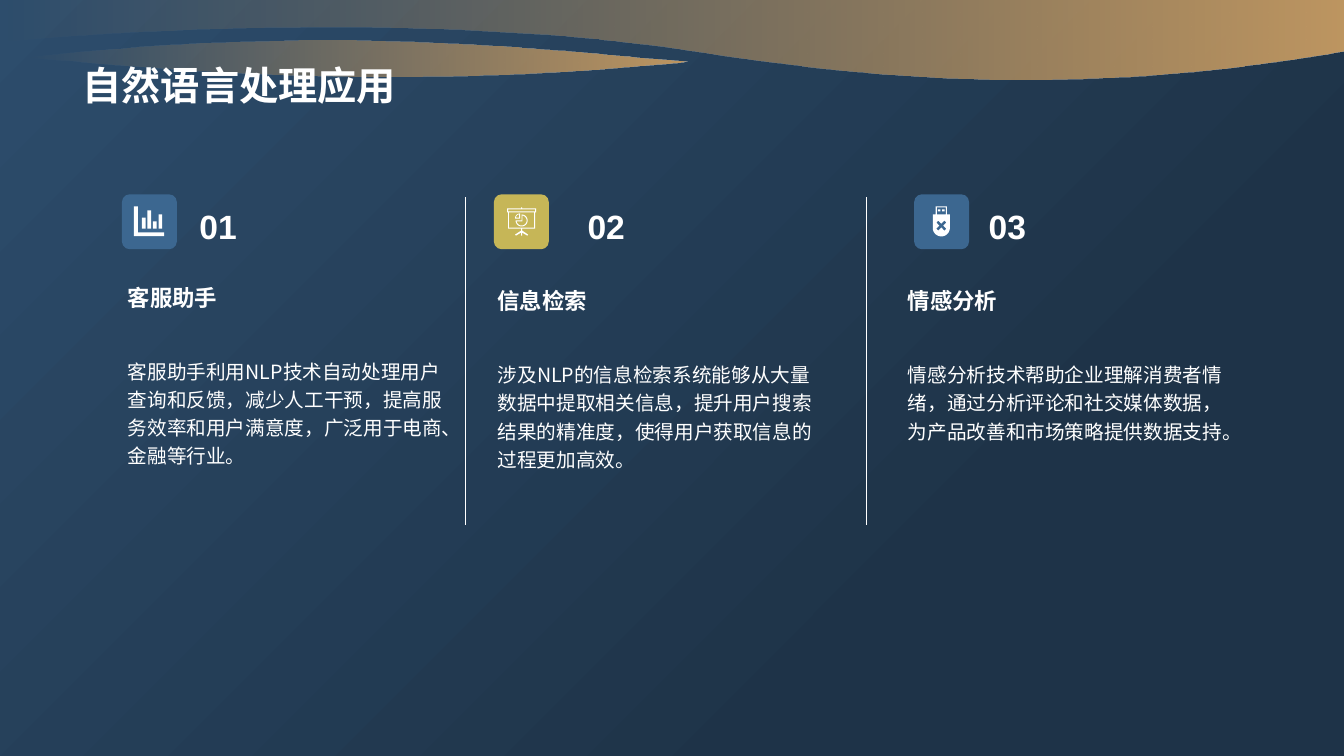
import math

import lxml.etree
import pptx
import pptx.dml.color
import pptx.enum.shapes
import pptx.enum.text
import pptx.oxml.ns
import pptx.util

Pt = pptx.util.Pt
WHITE, GOLD, BLUE, MUSTARD = "FFFFFF", "BF9762", "3C6790", "C6B657"
TILE_SIZE = 39.2


def color(hex_value):
    return pptx.dml.color.RGBColor.from_string(hex_value)


def box(left, top, right, bottom):
    return [(left, top), (right, top), (right, bottom), (left, bottom)]


def arc(x, y, radius, start, stop, steps=24):
    angles = [math.radians(start + (stop - start) * i / steps) for i in range(steps + 1)]
    return [(x + radius * math.cos(a), y + radius * math.sin(a)) for a in angles]


def curve(start, *segments, steps=40):
    points = [start]
    for first, second, end in segments:
        origin = points[-1]
        for i in range(1, steps + 1):
            t = i / steps
            weights = ((1 - t) ** 3, 3 * t * (1 - t) ** 2, 3 * t * t * (1 - t), t ** 3)
            points.append(tuple(sum(w * p[axis] for w, p in zip(weights, (origin, first, second, end)))
                                for axis in (0, 1)))
    return points


def bar_chart_icon():
    axes = [(8.6, 8.6), (11.5, 8.6), (11.5, 27.2), (30.2, 27.2), (30.2, 29.8), (8.6, 29.8)]
    bars = [box(14.3 + 3.95 * i, top, 16.9 + 3.95 * i, 24.5)
            for i, top in enumerate((16.6, 11.5, 19.4, 14.4))]
    return [axes] + bars


def screen_icon():
    leg = [(0.4, 25.9), (4.7, 28.8), (4, 29.5), (0.4, 27.4)]
    return [
        box(9.4, 10.1, 30.2, 13), box(10.1, 10.8, 29.5, 12.2),
        box(10.1, 13, 29.5, 24.5), box(10.8, 13, 28.8, 23.8),
        box(19.4, 9.4, 20.2, 10.1), box(19.4, 24.5, 20.2, 29.5),
        [(19.8 + x, y) for x, y in leg], [(19.8 - x, y) for x, y in leg],
        arc(19.8, 18.7, 4.3, -90, 180) + [(19.8, 18.7)],
        arc(19.8, 18.7, 3.6, -80, 170) + [(20.4, 19.3)],
        arc(18.7, 17.3, 3.6, 180, 270) + [(18.7, 17.3)],
        arc(18, 16.6, 2.2, 180, 270) + [(18, 16.6)],
    ]


def usb_icon():
    arm = [(1.4, 0), (3.6, 2.2), (2.2, 3.6)]
    cross = [(19.4 + x * c - y * s, 22.4 + x * s + y * c)
             for c, s in ((1, 0), (0, 1), (-1, 0), (0, -1)) for x, y in arm]
    body = [(13.3, 14.4), (15.4, 14.4), (15.4, 8.6), (23.4, 8.6), (23.4, 14.4), (25.5, 14.4)]
    return [body + arc(19.4, 24, 6.1, 0, 180), box(16.2, 9.4, 22.6, 14.4),
            box(17, 10.8, 18.8, 12.2), box(20, 10.8, 21.8, 12.2), cross]


class Deck:
    formats = {
        "title": {"name": "Noto Sans CJK SC", "size": Pt(28), "bold": True},
        "number": {"name": "Arial", "size": Pt(24), "bold": True},
        "heading": {"name": "Noto Sans CJK SC", "size": Pt(16), "bold": True},
        "body": {"name": "Noto Sans CJK SC", "size": Pt(14), "bold": False},
    }
    spacing = {"number": 1.1, "body": 1.2}

    def __init__(self, width, height):
        self.presentation = pptx.Presentation()
        self.presentation.slide_width = Pt(width)
        self.presentation.slide_height = Pt(height)
        self.slide = self.presentation.slides.add_slide(self.presentation.slide_layouts[6])
        self.shapes = self.slide.shapes

    def gradient(self, fill, angle, stops):
        fill.gradient()
        fill.gradient_angle = angle
        for stop, (position, hex_value) in zip(fill.gradient_stops, stops):
            stop.position = position
            stop.color.rgb = color(hex_value)

    def paint(self, shape, hex_value):
        shape.shadow.inherit = False
        shape.line.fill.background()
        shape.fill.solid()
        shape.fill.fore_color.rgb = color(hex_value)

    def outline(self, contours, hex_value, shapes=None, left=0, top=0):
        placed = [[(Pt(left + x), Pt(top + y)) for x, y in contour] for contour in contours]
        builder = (shapes or self.shapes).build_freeform(*placed[0][0], scale=1.0)
        for i, contour in enumerate(placed):
            if i:
                builder.move_to(*contour[0])
            builder.add_line_segments(contour[1:], close=True)
        shape = builder.convert_to_shape()
        self.paint(shape, hex_value)
        return shape

    def wave(self, points):
        shape = self.outline([points], GOLD)
        self.gradient(shape.fill, 0, [(0, GOLD), (1, GOLD)])
        faded = shape.element.xpath(".//a:srgbClr")[0]
        lxml.etree.SubElement(faded, pptx.oxml.ns.qn("a:alpha"), val="0")

    def badge(self, left, top, hex_value, icon):
        group = self.shapes.add_group_shape()
        tile = group.shapes.add_shape(pptx.enum.shapes.MSO_SHAPE.ROUNDED_RECTANGLE,
                                      Pt(left), Pt(top), Pt(TILE_SIZE), Pt(TILE_SIZE))
        tile.adjustments[0] = 0.14
        self.paint(tile, hex_value)
        self.outline(icon, WHITE, group.shapes, left, top)

    def divider(self, x, top, bottom):
        line = self.shapes.add_connector(pptx.enum.shapes.MSO_CONNECTOR.STRAIGHT,
                                         Pt(x), Pt(top), Pt(x), Pt(bottom))
        line.line.color.rgb = color(WHITE)
        line.line.width = Pt(0.75)
        lxml.etree.SubElement(line.element.spPr, pptx.oxml.ns.qn("a:effectLst"))

    def text(self, style, words, left, top, width, height, wrap=True, anchor="TOP"):
        frame = self.shapes.add_textbox(Pt(left), Pt(top), Pt(width), Pt(height)).text_frame
        frame.word_wrap = wrap
        frame.vertical_anchor = pptx.enum.text.MSO_ANCHOR[anchor]
        paragraph = frame.paragraphs[0]
        paragraph.line_spacing = self.spacing.get(style)
        run = paragraph.add_run()
        run.text = words
        for attribute, value in self.formats[style].items():
            setattr(run.font, attribute, value)
        run.font.color.rgb = color(WHITE)
        lxml.etree.SubElement(run._r.get_or_add_rPr(), pptx.oxml.ns.qn("a:ea"),
                              typeface=self.formats[style]["name"])


def main():
    deck = Deck(960, 540)
    deck.gradient(deck.slide.background.fill, 315, [(0, "2D4D6C"), (0.72, "1E3348")])
    deck.wave([(0, 0)] + curve((0, 30.2), ((159, 15.8), (350, 14.4), (496, 36.7)),
                               ((664.6, 62.6), (792.7, 64.8), (960, 36.7))) + [(960, 0)])
    deck.wave(curve((449.3, 40.3), ((463, 41.8), (477.4, 42.5), (491.8, 43.9)),
                    ((332, 59), (208, 57.6), (46, 43.2)), ((37.4, 42.5), (28, 41.8), (18.7, 41)),
                    ((174.2, 24.5), (293, 25.9), (449.3, 40.3))))
    deck.text("title", "自然语言处理应用", 52, 10, 855, 70.6, anchor="BOTTOM")

    applications = [
        ("01", "客服助手", "客服助手利用NLP技术自动处理用户查询和反馈，减少人工干预，提高服务效率和用户满意度，广泛用于电商、金融等行业。",
         87.1, 135.4, 84.2, 199.2, BLUE, bar_chart_icon()),
        ("02", "信息检索", "涉及NLP的信息检索系统能够从大量数据中提取相关信息，提升用户搜索结果的精准度，使得用户获取信息的过程更加高效。",
         352.8, 412.6, 348.4, 201.8, MUSTARD, screen_icon()),
        ("03", "情感分析", "情感分析技术帮助企业理解消费者情绪，通过分析评论和社交媒体数据，为产品改善和市场策略提供数据支持。",
         653, 699.1, 641.4, 201.8, BLUE, usb_icon()),
    ]
    for number, heading, body, tile_x, number_x, text_x, heading_y, tint, icon in applications:
        deck.badge(tile_x, 138.8, tint, icon)
        deck.text("number", number, number_x, 140.4, 41, 36.7, wrap=False)
        deck.text("heading", heading, text_x, heading_y, 242, 26.6)
        deck.text("body", body, text_x, heading_y + 50.7, 242, 75.6)
    for x in (332.6, 618.8):
        deck.divider(x, 141, 375)
    deck.presentation.save("out.pptx")


if __name__ == "__main__":
    main()
